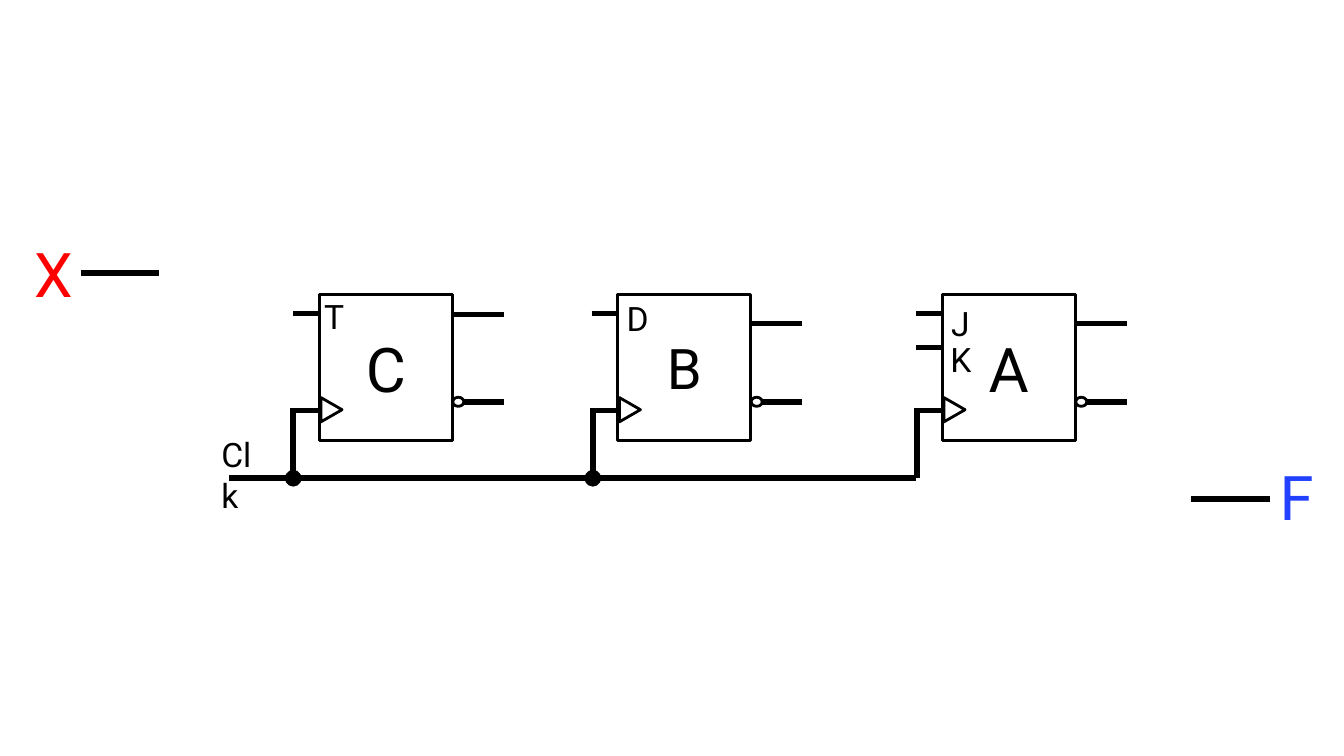
import pptx
import pptx.util
import pptx.dml.color
import pptx.enum.shapes
import pptx.enum.text
import pptx.oxml.ns
import pptx.oxml.xmlchemy

Cm = pptx.util.Cm
Pt = pptx.util.Pt
KIND = pptx.enum.shapes.MSO_SHAPE
FONT = "Roboto"
COLORS = {"ink": "000000", "paper": "FFFFFF", "input": "FF0000", "output": "2240FF"}

# Shared heights in cm
TOP = 7.42
CLOCK = 10.34
BUS = 12.05


def color(name):
    return pptx.dml.color.RGBColor.from_string(COLORS[name])


def add_wire(shapes, x1, y1, x2, y2, dot=False):
    wire = shapes.add_connector(
        pptx.enum.shapes.MSO_CONNECTOR.STRAIGHT, Cm(x1), Cm(y1), Cm(x2), Cm(y2))
    wire.line.width = Pt(4)
    wire.line.color.rgb = color("ink")
    props = wire._element.spPr
    if dot:
        head = pptx.oxml.xmlchemy.OxmlElement("a:headEnd")
        head.set("type", "oval")
        props.find(pptx.oxml.ns.qn("a:ln")).append(head)
    props.append(pptx.oxml.xmlchemy.OxmlElement("a:effectLst"))


def add_part(shapes, kind, x, y, wide, high, fill=True):
    part = shapes.add_shape(kind, Cm(x), Cm(y), Cm(wide), Cm(high))
    part.shadow.inherit = False
    if fill:
        part.fill.solid()
        part.fill.fore_color.rgb = color("paper")
    else:
        part.fill.background()
    part.line.width = Pt(2)
    part.line.color.rgb = color("ink")
    return part


def set_text(frame, text, size, tint="ink"):
    frame.word_wrap = True
    para = frame.paragraphs[0]
    para.text = text
    para.font.name = FONT
    para.font.size = Pt(size)
    para.font.color.rgb = color(tint)
    return para


def add_label(shapes, text, x, y, wide, high=1.27, size=24, tint="ink"):
    box = shapes.add_textbox(Cm(x), Cm(y), Cm(wide), Cm(high))
    set_text(box.text_frame, text, size, tint)


def add_flop(slide, name, x, size, out, pins):
    """Flip-flop with its left edge at x, output Q at height out."""
    shapes = slide.shapes.add_group_shape().shapes
    # Wires, tucked behind the body
    for y in [CLOCK, *pins]:
        add_wire(shapes, x - 0.66, y, x + 0.5, y)
    for y in (out, 10.13):
        add_wire(shapes, x + 2.64, y, x + 4.65, y)
    # Body with its name
    body = add_part(shapes, KIND.RECTANGLE, x, TOP, 3.35, 3.68)
    body.text_frame.vertical_anchor = pptx.enum.text.MSO_ANCHOR.MIDDLE
    para = set_text(body.text_frame, name, size)
    para.alignment = pptx.enum.text.PP_ALIGN.CENTER
    # Inverting bubble and clock mark
    add_part(shapes, KIND.OVAL, x + 3.36, 10.01, 0.28, 0.23)
    mark = add_part(shapes, KIND.ISOSCELES_TRIANGLE, x, 10.06, 0.61, 0.53, fill=False)
    mark.rotation = 90


def main():
    deck = pptx.Presentation()
    deck.slide_width, deck.slide_height = Cm(33.87), Cm(19.05)
    slide = deck.slides.add_slide(deck.slide_layouts[6])
    shapes = slide.shapes

    # Circuit input and output
    add_wire(shapes, 2.03, 6.88, 4.01, 6.88)
    add_label(shapes, "X", 0.61, 5.82, 1.45, 2.13, 44, "input")
    add_label(shapes, "F", 32, 11.43, 1.27, 2.13, 44, "output")
    add_wire(shapes, 30.02, 12.57, 32, 12.57)

    # Flip-flops
    add_flop(slide, "C", 8.05, 44, 7.92, [7.9])
    add_flop(slide, "B", 15.57, 40, 8.15, [7.9])
    add_flop(slide, "A", 23.75, 44, 8.15, [7.9, 8.76])

    # Clock bus and risers
    add_wire(shapes, 5.77, BUS, 23.09, BUS)
    for x, dot in ((23.11, False), (14.94, True), (7.39, True)):
        add_wire(shapes, x, BUS, x, 10.29, dot)

    # Clock and pin names
    for text, x, y, wide in (
        ("Clk", 5.33, 10.82, 1.68),
        ("J", 23.72, 7.52, 0.81),
        ("K", 23.7, 8.41, 1.02),
        ("D", 15.54, 7.39, 1.12),
        ("T", 7.92, 7.34, 0.97),
    ):
        add_label(shapes, text, x, y, wide)

    deck.save("out.pptx")


if __name__ == "__main__":
    main()
